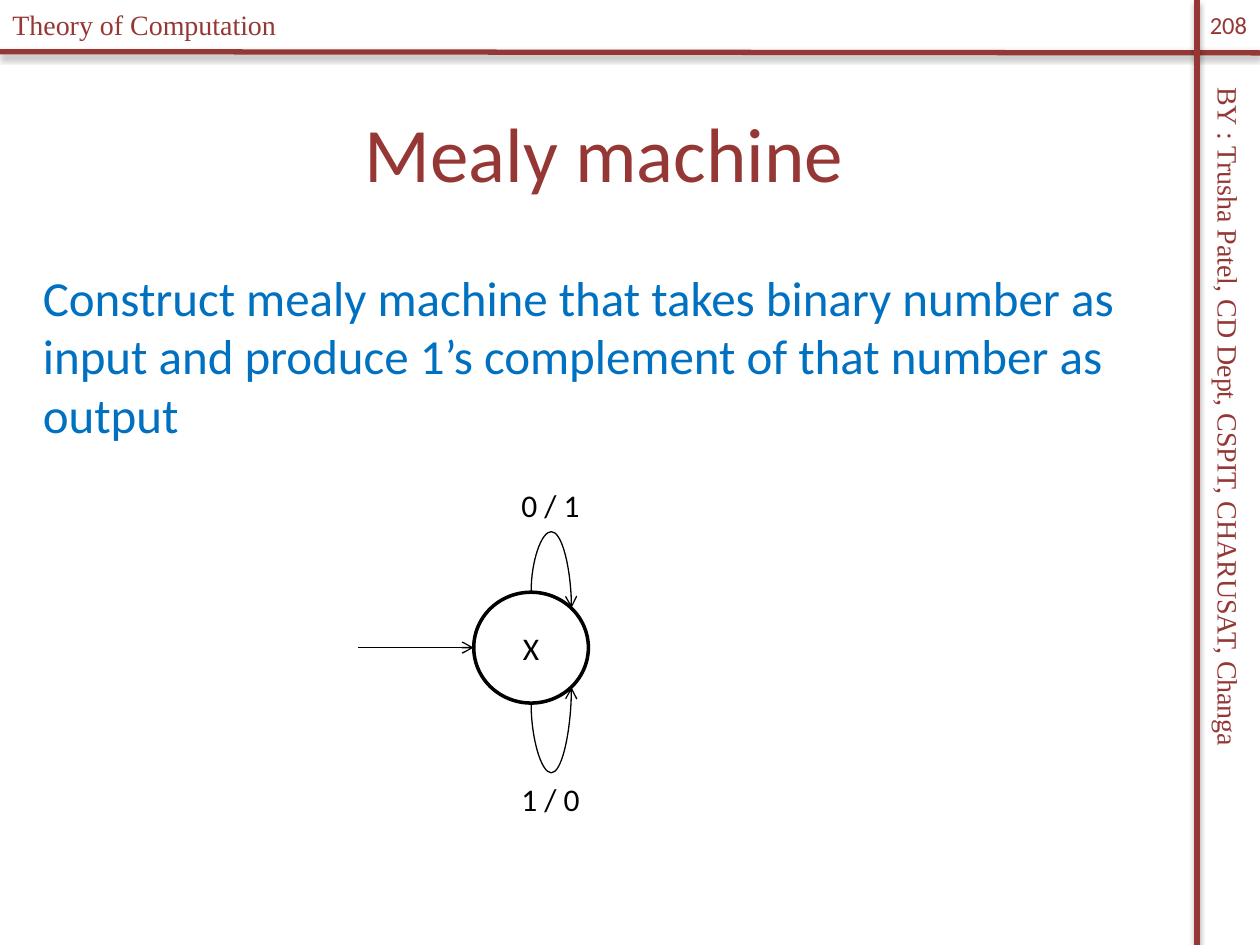
from dataclasses import dataclass

from pptx import Presentation
from pptx import util as u
from pptx.dml.color import RGBColor
from pptx.enum import shapes, text
from pptx.oxml import parse_xml
from pptx.oxml.ns import nsdecls, qn

MAROON = RGBColor(0x95, 0x37, 0x35)
BLUE = RGBColor(0x00, 0x70, 0xC0)
BLACK = RGBColor(0x00, 0x00, 0x00)
WHITE = RGBColor(0xFF, 0xFF, 0xFF)
SERIF, SANS = "Times New Roman", "Calibri"
LEFT, CENTER = text.PP_ALIGN.LEFT, text.PP_ALIGN.CENTER
TOP, MIDDLE = text.MSO_ANCHOR.TOP, text.MSO_ANCHOR.MIDDLE

RULE_SHADOW = (
    '<a:outerShdw blurRad="39370" dist="22860" dir="5400000" rotWithShape="0">'
    '<a:srgbClr val="000000"><a:alpha val="35000"/></a:srgbClr></a:outerShdw>'
)


@dataclass
class Label:
    words: str
    box: tuple[float, float, float, float]
    size: float
    font: str = SANS
    color: RGBColor = BLACK
    align: int = LEFT
    anchor: int = TOP
    wrap: bool = True
    rotation: float = 0


@dataclass
class Line:
    start: tuple[float, float]
    end: tuple[float, float]
    color: RGBColor = BLACK
    width: float = 0.75
    shadow: str = ""
    arrow: bool = False
    rotation: int = 0
    bend: float | None = None  # a value makes the line a curved loop


def place(shape, box: tuple[float, float, float, float]) -> None:
    for side, value in zip(("left", "top", "width", "height"), box):
        setattr(shape, side, u.Inches(value))


def write(shape, label: Label) -> None:
    frame = shape.text_frame
    frame.text = label.words
    frame.word_wrap = label.wrap
    frame.vertical_anchor = label.anchor
    paragraph = frame.paragraphs[0]
    paragraph.alignment = label.align
    run_font = paragraph.runs[0].font
    for name, value in {"size": u.Pt(label.size), "name": label.font}.items():
        setattr(run_font, name, value)
    run_font.color.rgb = label.color


def add_label(slide, label: Label) -> None:
    box = slide.shapes.add_textbox(*map(u.Inches, label.box))
    box.rotation = label.rotation
    write(box, label)


def add_line(slide, line: Line) -> None:
    kinds = shapes.MSO_CONNECTOR
    kind = kinds.STRAIGHT if line.bend is None else kinds.CURVE
    connector = slide.shapes.add_connector(
        kind, *map(u.Inches, (*line.start, *line.end)))
    connector.line.color.rgb = line.color
    connector.line.width = u.Pt(line.width)
    properties = connector._element.spPr
    if line.arrow:
        connector.line._get_or_add_ln().append(
            parse_xml(f'<a:tailEnd {nsdecls("a")} type="arrow"/>'))
    properties.append(parse_xml(
        f'<a:effectLst {nsdecls("a")}>{line.shadow}</a:effectLst>'))
    if line.bend is not None:
        properties.find(qn("a:xfrm")).set("rot", str(line.rotation * 60000))
        geometry = properties.find(qn("a:prstGeom"))
        for old in geometry.findall(qn("a:avLst")):
            geometry.remove(old)
        geometry.append(parse_xml(
            f'<a:avLst {nsdecls("a")}><a:gd name="adj1" '
            f'fmla="val {round(line.bend * 100000)}"/></a:avLst>'))


def add_state(slide, label: Label) -> None:
    state = slide.shapes.add_shape(
        shapes.MSO_SHAPE.OVAL, *map(u.Inches, label.box))
    state.shadow.inherit = False
    state.fill.solid()
    state.fill.fore_color.rgb = WHITE
    state.line.color.rgb = BLACK
    state.line.width = u.Pt(2)
    write(state, label)


FRAME_RULES = [
    Line((0, 0.41), (10, 0.42), MAROON, 3, RULE_SHADOW),
    Line((9.5, 0), (9.5, 7.5), MAROON, 3, RULE_SHADOW),
]
FRAME_LABELS = [
    Label("BY : Trusha Patel, CD Dept, CSPIT, CHARUSAT, Changa",
          (6.54, 3.62, 6.42, 0.37), 16, SERIF, MAROON, rotation=90),
    Label("Theory of Computation", (0, 0.01, 3.29, 0.37), 16, SERIF, MAROON),
    Label("208", (9.5, 0, 0.5, 0.4), 14, SANS, MAROON, CENTER, MIDDLE, False),
]
TITLE = Label("Mealy machine", (0.17, 0.58, 9.25, 1.25), 44, SANS, MAROON,
              CENTER, MIDDLE)
TASK = Label("Construct mealy machine that takes binary number as input and "
             "produce 1’s complement of that number as output",
             (0.24, 2.07, 9.25, 5.25), 28, SANS, BLUE)
STATE = Label("X", (3.76, 4.7, 0.91, 0.88), 18, align=CENTER, anchor=MIDDLE)
TRANSITIONS = [
    Line((2.84, 5.14), (3.76, 5.14), arrow=True),
    Line((4.44, 4.6), (4.31, 4.92), arrow=True, rotation=270, bend=-3.66),
    Line((4.44, 5.68), (4.31, 5.36), arrow=True, rotation=90, bend=-4.23),
]
TRANSITION_LABELS = [
    Label(words, (4.04, top, 0.67, 0.4), 18, wrap=False)
    for words, top in (("0 / 1", 3.81), ("1 / 0", 6.14))
]


def main() -> None:
    deck = Presentation()
    deck.slide_width, deck.slide_height = u.Inches(10), u.Inches(7.5)
    slide = deck.slides.add_slide(deck.slide_layouts[1])

    # Title and task
    body = slide.placeholders[1]
    for holder, label in ((slide.shapes.title, TITLE), (body, TASK)):
        place(holder, label.box)
        write(holder, label)
    bullet = body.text_frame.paragraphs[0]._p.get_or_add_pPr()
    for name in ("marL", "indent"):
        bullet.set(name, "0")
    bullet.append(parse_xml(f'<a:buNone {nsdecls("a")}/>'))

    # Page frame
    for rule in FRAME_RULES:
        add_line(slide, rule)
    for label in FRAME_LABELS:
        add_label(slide, label)

    # State diagram
    add_state(slide, STATE)
    for transition in TRANSITIONS:
        add_line(slide, transition)
    for label in TRANSITION_LABELS:
        add_label(slide, label)

    deck.save("out.pptx")


if __name__ == "__main__":
    main()
